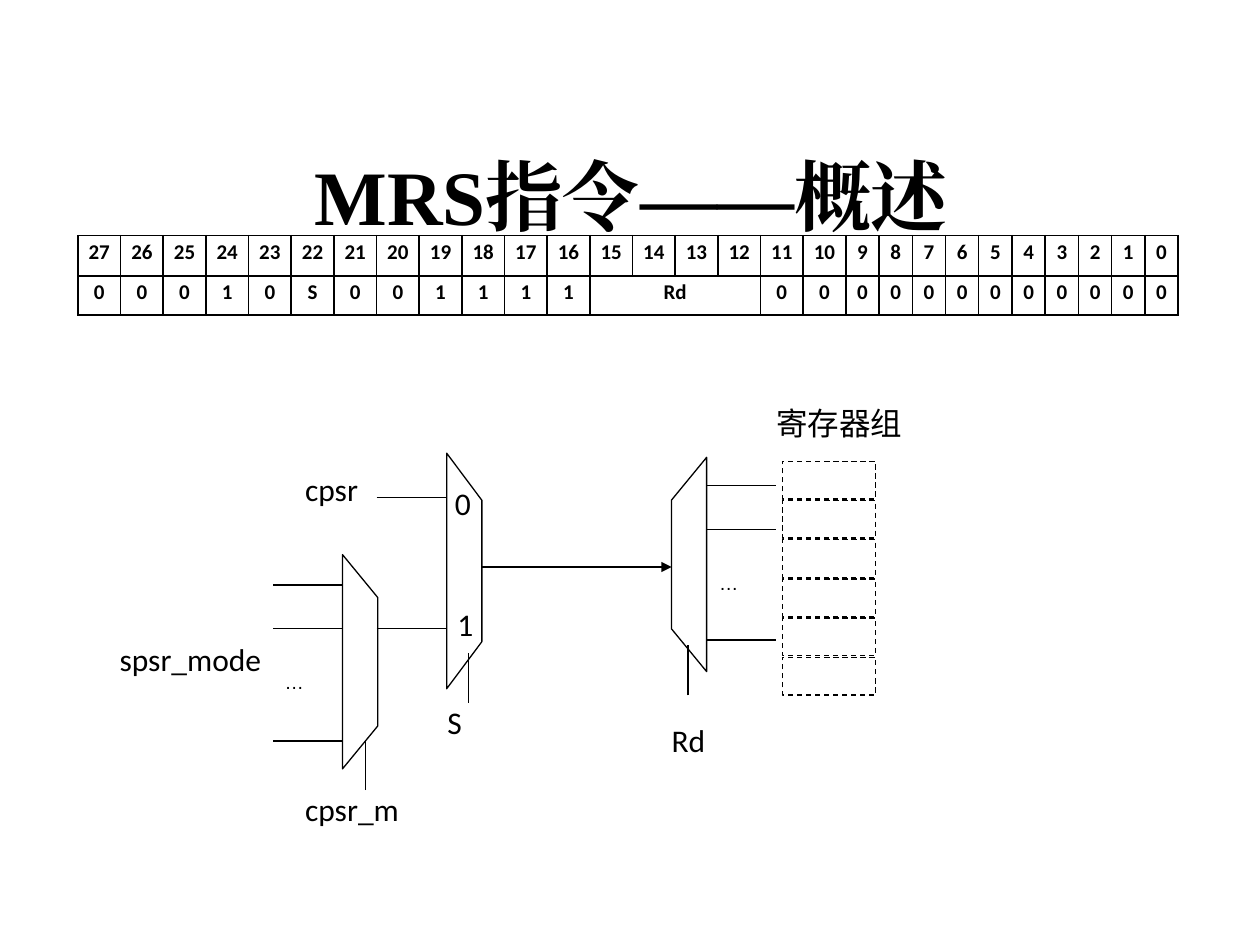
from dataclasses import dataclass

from lxml import etree
from pptx import Presentation
from pptx import util as u
from pptx.dml.color import RGBColor
from pptx.enum import dml, shapes, text
from pptx.oxml import ns


@dataclass(frozen=True)
class Theme:
    ink: RGBColor = RGBColor(0, 0, 0)
    paper: RGBColor = RGBColor(255, 255, 255)
    title_font: str = "Times New Roman"
    body_font: str = "Calibri"
    dots_font: str = "Arial"
    title_size: int = 44
    label_size: int = 18
    table_size: int = 12
    dots_size: int = 11
    line_width: float = 0.75
    border_width: float = 1


THEME = Theme()


@dataclass(frozen=True)
class Mux:
    """A multiplexer, by its centre; rotation points its wide side."""
    x: float
    y: float
    length: float
    rotation: int
    depth: float = 0.71


@dataclass(frozen=True)
class Wire:
    x1: float
    y1: float
    x2: float
    y2: float
    arrow: bool = False


@dataclass(frozen=True)
class Label:
    words: str
    x: float
    y: float
    width: float
    font: str = THEME.body_font
    size: int = THEME.label_size


MUXES = [
    Mux(9.36, 11.51, 4.75, 270),
    Mux(7.26, 13.34, 4.32, 270),
    Mux(13.89, 11.38, 4.32, 90),
]

WIRES = [
    *(Wire(5.51, y, 6.91, y) for y in (11.79, 12.67, 14.94)),
    *(Wire(7.59, y, 9.02, y) for y in (10.03, 12.67)),
    *(Wire(14.25, y, 15.65, y) for y in (9.78, 10.67, 12.9)),
    Wire(7.37, 15.93, 7.37, 14.94),
    Wire(9.45, 14.17, 9.45, 13.16),
    Wire(13.87, 14.02, 13.87, 13.0),
    Wire(9.7, 11.43, 13.54, 11.43, arrow=True),
]

LABELS = [
    Label("cpsr", 6.15, 9.47, 1.22),
    Label("cpsr_m", 6.15, 15.93, 3.18),
    Label("spsr_mode", 2.41, 12.9, 3.07),
    Label("S", 9.02, 14.17, 0.71),
    Label("0", 9.17, 9.75, 0.71),
    Label("1", 9.22, 12.19, 0.71),
    Label("Rd", 13.54, 14.53, 0.71),
    Label("寄存器组", 15.65, 8.15, 3.48),
    Label("…", 5.74, 13.51, 1.37, THEME.dots_font, THEME.dots_size),
    Label("…", 14.5, 11.51, 1.37, THEME.dots_font, THEME.dots_size),
]

BITS = [str(bit) for bit in range(27, -1, -1)]
FIELDS = [*"00010S001111", "Rd", None, None, None, *"0" * 12]
RD_COLUMNS = (12, 15)


def write_text(frame, words: str, *, font: str = THEME.body_font,
               size: int = THEME.label_size, bold: bool = False,
               align=text.PP_ALIGN.LEFT, line_spacing: float = 1.0,
               space_after: float = 0):
    paragraph = frame.paragraphs[0]
    paragraph.alignment = align
    paragraph.line_spacing = line_spacing
    paragraph.space_after = u.Pt(space_after)
    run = paragraph.add_run()
    run.text = words
    run.font.name = font
    run.font.size = u.Pt(size)
    run.font.bold = bold
    run.font.color.rgb = THEME.ink
    east_asian = etree.SubElement(run.font._element, ns.qn("a:ea"))
    east_asian.set("typeface", font)


def add_title(slide, words: str):
    title = slide.shapes.title
    title.left, title.top = u.Cm(1.3), u.Cm(2.34)
    title.width, title.height = u.Cm(22.86), u.Cm(3.18)
    title.text_frame.vertical_anchor = text.MSO_ANCHOR.MIDDLE
    write_text(title.text_frame, words, font=THEME.title_font,
               size=THEME.title_size, bold=True, align=text.PP_ALIGN.CENTER)


def style_cell(cell):
    """Give a cell a plain fill, narrow margins and a border on all sides."""
    cell.margin_left = cell.margin_right = u.Cm(0.18)
    cell.margin_top = cell.margin_bottom = 0
    properties = cell._tc.get_or_add_tcPr()
    for side in ("lnL", "lnR", "lnT", "lnB"):
        border = etree.SubElement(properties, ns.qn(f"a:{side}"),
                                  w=str(u.Pt(THEME.border_width)))
        fill = etree.SubElement(border, ns.qn("a:solidFill"))
        etree.SubElement(fill, ns.qn("a:srgbClr"), val=str(THEME.ink))
    cell.fill.solid()
    cell.fill.fore_color.rgb = THEME.paper


def add_encoding_table(slide):
    widths = [0.86] * 18 + [0.67] * 10
    heights = [0.81, 0.79]
    table = slide.shapes.add_table(
        len(heights), len(widths), u.Cm(1.57), u.Cm(4.75),
        u.Cm(sum(widths)), u.Cm(sum(heights))).table
    table.first_row = table.horz_banding = False
    for column, width in zip(table.columns, widths):
        column.width = u.Cm(width)
    first, last = RD_COLUMNS
    table.cell(1, first).merge(table.cell(1, last))
    for row, (height, values) in enumerate(zip(heights, (BITS, FIELDS))):
        table.rows[row].height = u.Cm(height)
        for column, value in enumerate(values):
            cell = table.cell(row, column)
            style_cell(cell)
            if value is not None:
                write_text(cell.text_frame, value, size=THEME.table_size,
                           bold=True, align=text.PP_ALIGN.CENTER,
                           line_spacing=1.15, space_after=10)


def add_box(slide, kind, x: float, y: float, width: float, height: float):
    shape = slide.shapes.add_shape(kind, u.Cm(x), u.Cm(y), u.Cm(width), u.Cm(height))
    shape.shadow.inherit = False
    shape.fill.solid()
    shape.fill.fore_color.rgb = THEME.paper
    shape.line.color.rgb = THEME.ink
    shape.line.width = u.Pt(THEME.line_width)
    return shape


def add_mux(slide, mux: Mux):
    shape = add_box(slide, shapes.MSO_SHAPE.FLOWCHART_MANUAL_OPERATION,
                    mux.x - mux.length / 2, mux.y - mux.depth / 2,
                    mux.length, mux.depth)
    shape.rotation = mux.rotation


def add_registers(slide, count: int = 6, pitch: float = 0.79):
    for index in range(count):
        register = add_box(slide, shapes.MSO_SHAPE.RECTANGLE,
                           15.77, 9.3 + index * pitch, 1.88, 0.76)
        register.line.dash_style = dml.MSO_LINE.DASH


def add_wire(slide, wire: Wire):
    connector = slide.shapes.add_connector(
        shapes.MSO_CONNECTOR.STRAIGHT, u.Cm(wire.x1), u.Cm(wire.y1),
        u.Cm(wire.x2), u.Cm(wire.y2))
    connector.line.color.rgb = THEME.ink
    connector.line.width = u.Pt(THEME.line_width)
    if wire.arrow:
        etree.SubElement(connector.line._get_or_add_ln(), ns.qn("a:tailEnd"),
                         type="triangle")
    etree.SubElement(connector._element.spPr, ns.qn("a:effectLst"))


def add_label(slide, label: Label):
    frame = slide.shapes.add_textbox(u.Cm(label.x), u.Cm(label.y),
                                     u.Cm(label.width), u.Cm(0.96)).text_frame
    frame.word_wrap = True
    frame.margin_left = frame.margin_right = 0
    frame.margin_top = frame.margin_bottom = 0
    write_text(frame, label.words, font=label.font, size=label.size)


def main():
    presentation = Presentation()
    presentation.slide_width, presentation.slide_height = u.Cm(25.4), u.Cm(19.05)
    slide = presentation.slides.add_slide(presentation.slide_layouts[5])
    add_title(slide, "MRS指令——概述")
    add_encoding_table(slide)
    for mux in MUXES:
        add_mux(slide, mux)
    add_registers(slide)
    for wire in WIRES:
        add_wire(slide, wire)
    for label in LABELS:
        add_label(slide, label)
    presentation.save("out.pptx")


if __name__ == "__main__":
    main()
